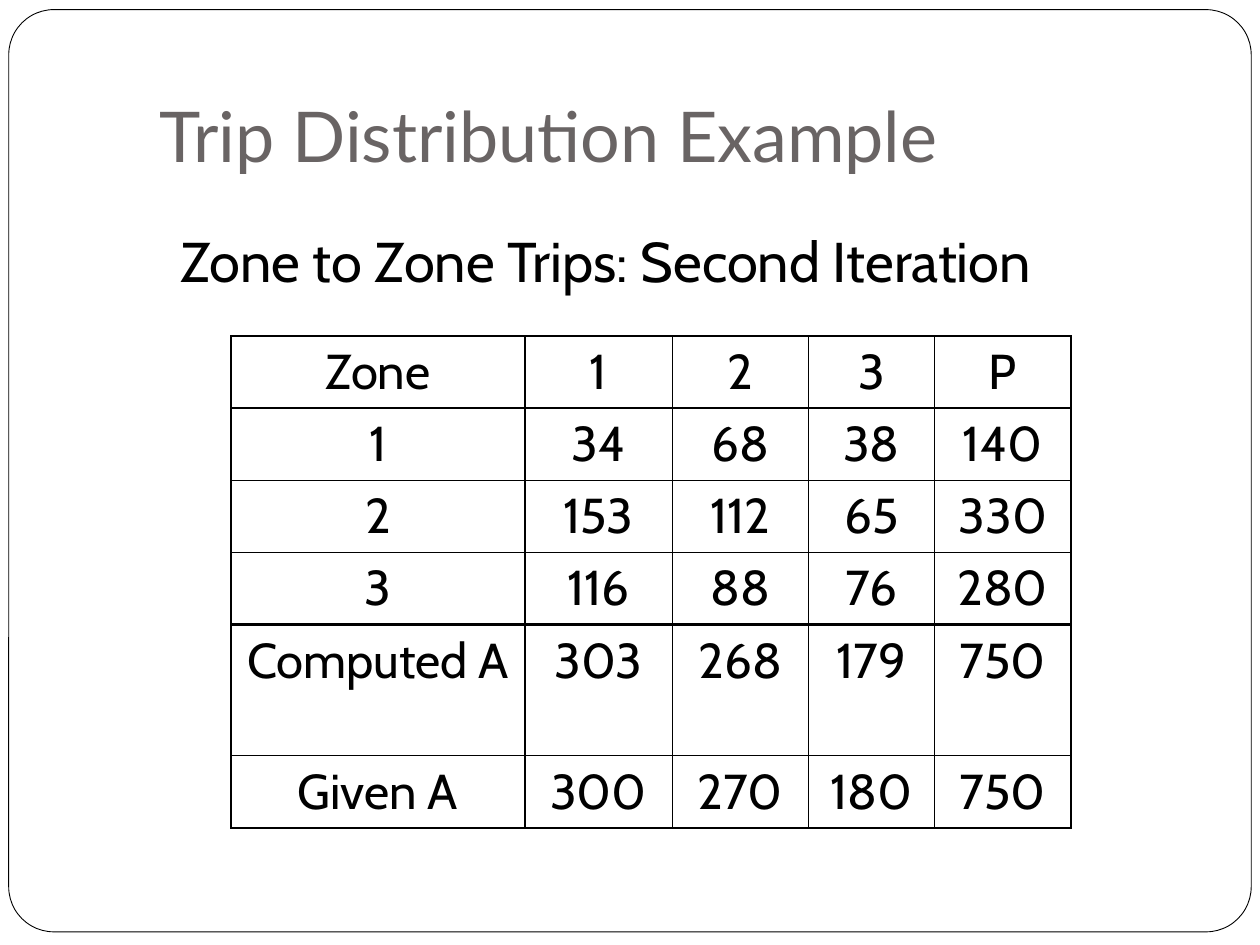
from lxml.etree import SubElement
from pptx import Presentation
from pptx.dml.color import RGBColor
from pptx.enum.shapes import MSO_SHAPE as Shape
from pptx.enum.text import MSO_ANCHOR as Anchor, MSO_AUTO_SIZE as AutoSize, PP_ALIGN as Align
from pptx.oxml.ns import qn
from pptx.util import Pt

BLACK = RGBColor(0, 0, 0)
WHITE = RGBColor(255, 255, 255)
GRAY = RGBColor(0x69, 0x64, 0x64)

TRIPS = [
    ["Zone", "1", "2", "3", "P"],
    ["1", "34", "68", "38", "140"],
    ["2", "153", "112", "65", "330"],
    ["3", "116", "88", "76", "280"],
    ["Computed A", "303", "268", "179", "750"],
    ["Given A", "300", "270", "180", "750"],
]
COLUMN_WIDTHS = [168, 84, 78, 72, 78]
ROW_HEIGHTS = [41, 41, 41, 41, 75, 41]
COLUMN_LINES = [1.08, 1.47, 0.45, 0.45, 0.45, 1.08]
ROW_LINES = [1.08, 1.47, 0.45, 0.45, 2.21, 0.45, 1.08]


def style(para, face, size, color):
    """Set the typeface, size and colour of a paragraph."""
    para.font.name = face
    para.font.size = Pt(size)
    para.font.color.rgb = color


def add_frame(page, box):
    """Place the rounded page frame behind everything else."""
    frame = page.shapes.add_shape(Shape.ROUNDED_RECTANGLE, *map(Pt, box))
    frame.shadow.inherit = False
    frame.adjustments[0] = 0.049
    frame.fill.solid()
    frame.fill.fore_color.rgb = WHITE
    frame.line.color.rgb = BLACK
    frame.line.width = Pt(0.5)
    page.shapes._spTree.insert(2, frame._element)


def place_title(page, box, text):
    """Move and format the title placeholder."""
    title = page.shapes.title
    title.left, title.top, title.width, title.height = map(Pt, box)
    body = title.text_frame
    body.text = text
    body.auto_size = AutoSize.NONE
    body.vertical_anchor = Anchor.BOTTOM
    body.margin_bottom = Pt(7.2)
    para = body.paragraphs[0]
    para.alignment = Align.LEFT
    style(para, "Lato", 40, GRAY)


def add_subtitle(page, box, text):
    """Place the heading above the table."""
    body = page.shapes.add_textbox(*map(Pt, box)).text_frame
    body.word_wrap = True
    body.text = text
    style(body.paragraphs[0], "Cabin", 32, BLACK)


def set_borders(cell, widths):
    """Draw the left, right, top and bottom borders of a cell."""
    properties = cell._tc.get_or_add_tcPr()
    for position, (tag, width) in enumerate(zip(("a:lnL", "a:lnR", "a:lnT", "a:lnB"), widths)):
        line = properties.makeelement(qn(tag), {"w": str(Pt(width))})
        fill = SubElement(line, qn("a:solidFill"))
        SubElement(fill, qn("a:srgbClr"), val=str(BLACK))
        properties.insert(position, line)


def add_trip_table(page, left, top):
    """Place the trip table with its ruled grid."""
    size = sum(COLUMN_WIDTHS), sum(ROW_HEIGHTS)
    table = page.shapes.add_table(
        len(ROW_HEIGHTS), len(COLUMN_WIDTHS), *map(Pt, (left, top, *size))).table
    table.first_row = table.horz_banding = False
    for column, width in zip(table.columns, COLUMN_WIDTHS):
        column.width = Pt(width)
    for r, (row, height) in enumerate(zip(table.rows, ROW_HEIGHTS)):
        row.height = Pt(height)
        for c, cell in enumerate(row.cells):
            cell.text = TRIPS[r][c]
            cell.fill.background()
            para = cell.text_frame.paragraphs[0]
            para.alignment = Align.CENTER
            style(para, "Cabin", 28, BLACK)
            set_borders(cell, COLUMN_LINES[c:c + 2] + ROW_LINES[r:r + 2])


def main():
    """Build the slide and save it."""
    deck = Presentation()
    deck.slide_width, deck.slide_height = Pt(720), Pt(540)
    page = deck.slides.add_slide(deck.slide_layouts[5])
    add_frame(page, (5, 5.5, 710, 527))
    place_title(page, (84, 12, 618, 96), "Trip Distribution Example")
    add_trip_table(page, 132, 192)
    add_subtitle(page, (96, 126, 562, 46), "Zone to Zone Trips: Second Iteration")
    deck.save("out.pptx")


if __name__ == "__main__":
    main()
